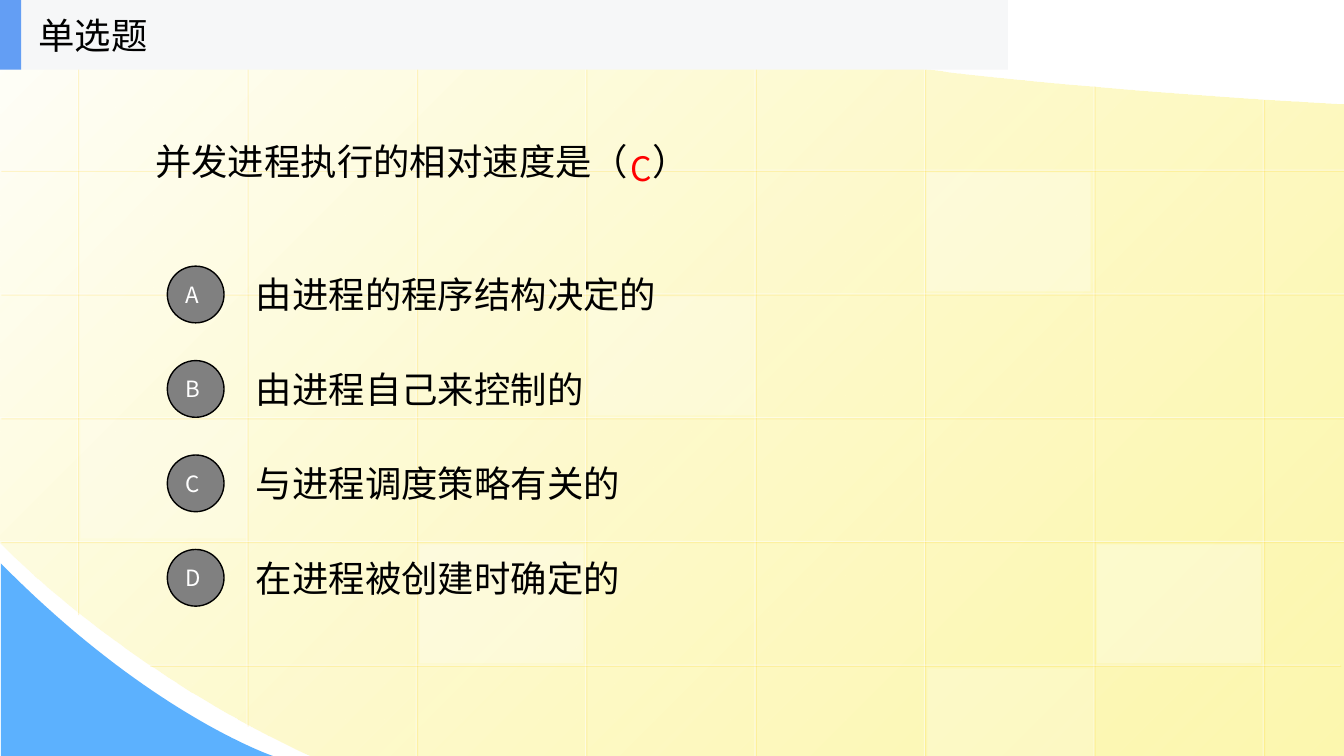
from lxml.etree import SubElement
from pptx import Presentation
from pptx.dml.color import RGBColor
from pptx.enum.shapes import MSO_CONNECTOR as Connector, MSO_SHAPE as Shape
from pptx.enum.text import MSO_ANCHOR as Anchor, PP_ALIGN as Align
from pptx.oxml.ns import qn
from pptx.util import Pt

FONT = "Noto Sans CJK SC"
BLACK = RGBColor(0, 0, 0)
WHITE = RGBColor(255, 255, 255)
RED = RGBColor(255, 0, 0)
GRAY = RGBColor(0x80, 0x80, 0x80)
SKY = RGBColor(0x5C, 0xB1, 0xFE)
CREAM = RGBColor(0xFF, 0xFF, 0xFB)
YELLOW = RGBColor(0xFD, 0xF5, 0x8D)
HEADER = RGBColor(0xF6, 0xF7, 0xF8)
ACCENT = RGBColor(0x63, 0x9E, 0xF4)

QUESTION = "并发进程执行的相对速度是（\t）"
OPTIONS = {
    "A": "由进程的程序结构决定的",
    "B": "由进程自己来控制的",
    "C": "与进程调度策略有关的",
    "D": "在进程被创建时确定的",
}
OPTION_STEP = 67.45
GRID_LEFT, GRID_STEP_X = 55.3, 121
GRID_TOP, GRID_STEP_Y = 33.1, 88.4
COLUMN_SPANS = [(0, 438.5), (0, 518), (0, 540), (0, 540),
                (31, 540), (49, 540), (61, 540), (70.5, 540)]
ROW_SPANS = [(0, 545), (0, 960), (0, 960), (0, 960), (0, 960), (106.5, 957)]
TILES = [
    (420.5, 211.7, 118.8, 85, 25),
    (783.4, 388.8, 117.4, 85, 30),
    (57.6, 299.5, 118.8, 85, 20),
    (662.4, 477.4, 118.8, 62.6, 20),
    (298.8, 0, 118.8, 31.7, 40),
    (299.5, 388.8, 117.4, 85, 30),
    (661.7, 123.1, 117.4, 85, 30),
]


def set_opacity(element, percent):
    for color in element.iter(qn("a:srgbClr")):
        SubElement(color, qn("a:alpha"), val=str(percent * 1000))


def curve(start, first, second, end, steps=40):
    points = []
    for step in range(steps + 1):
        t = step / steps
        weights = ((1 - t) ** 3, 3 * t * (1 - t) ** 2, 3 * t * t * (1 - t), t ** 3)
        points.append(tuple(
            sum(weight * value for weight, value in zip(weights, values))
            for values in zip(start, first, second, end)))
    return points


def add_outline(page, points):
    corners = [(Pt(x), Pt(y)) for x, y in points]
    builder = page.shapes.build_freeform(*corners[0])
    builder.add_line_segments(corners[1:], close=True)
    outline = builder.convert_to_shape()
    outline.shadow.inherit = False
    outline.line.fill.background()
    return outline


def add_backdrop(page):
    edge = [(960, 540)]
    edge += curve((221, 540), (82.8, 475.9), (0, 388.1), (0, 388.1))
    edge += [(0, 0)]
    edge += curve((404, 0.7), (404, 0.7), (515, 49.7), (960, 75))
    fill = add_outline(page, edge).fill
    fill.gradient()
    fill.gradient_angle = 315
    first, last = fill.gradient_stops
    first.color.rgb = CREAM
    last.color.rgb = YELLOW
    set_opacity(last._gs, 70)

    corner = add_outline(page, [(0.7, 540)] + curve(
        (195, 540), (195, 540), (107.3, 510.5), (0.7, 402.5)))
    corner.fill.solid()
    corner.fill.fore_color.rgb = SKY


def add_grid_line(page, *ends):
    line = page.shapes.add_connector(Connector.STRAIGHT, *map(Pt, ends))
    line.line.width = Pt(0.75)
    line.line.color.rgb = WHITE
    properties = line._element.spPr
    set_opacity(properties, 50)
    effects = SubElement(properties, qn("a:effectLst"))
    shadow = SubElement(effects, qn("a:outerShdw"), blurRad="0",
                        dist=str(Pt(1.4)), dir="2700000", algn="ctr", rotWithShape="0")
    SubElement(shadow, qn("a:srgbClr"), val="FFCC00")
    set_opacity(effects, 34)


def add_grid(page):
    for index, (top, bottom) in enumerate(COLUMN_SPANS):
        x = GRID_LEFT + index * GRID_STEP_X
        add_grid_line(page, x, top, x, bottom)
    for index, (left, right) in enumerate(ROW_SPANS):
        y = GRID_TOP + index * GRID_STEP_Y
        add_grid_line(page, right, y, left, y)


def add_filled(page, kind, place, color, opacity=None, outlined=False):
    shape = page.shapes.add_shape(kind, *map(Pt, place))
    shape.shadow.inherit = False
    shape.fill.solid()
    shape.fill.fore_color.rgb = color
    if opacity:
        set_opacity(shape._element.spPr, opacity)
    if outlined:
        shape.line.color.rgb = BLACK
        shape.line.width = Pt(1)
    else:
        shape.line.fill.background()
    return shape


def write(shape, text, size=26, color=BLACK, anchor=Anchor.MIDDLE, wrap=True, tab=None):
    frame = shape.text_frame
    frame.word_wrap = wrap
    frame.vertical_anchor = anchor
    para = frame.paragraphs[0]
    para.alignment = Align.LEFT
    if tab:
        stops = SubElement(para._p.get_or_add_pPr(), qn("a:tabLst"))
        SubElement(stops, qn("a:tab"), pos=str(Pt(tab)), algn="l")
    span = para.add_run()
    span.text = text
    span.font.size = Pt(size)
    span.font.color.rgb = color
    span.font.name = FONT
    SubElement(span._r.get_or_add_rPr(), qn("a:ea"), typeface=FONT)


def add_label(page, place, text, **style):
    box = page.shapes.add_textbox(*map(Pt, place))
    write(box, text, **style)


def add_option(page, index, letter, text):
    shift = index * OPTION_STEP
    add_label(page, (175.7, 185 + shift, 504, 50.4), text)
    badge = add_filled(page, Shape.OVAL, (119.5, 190.1 + shift, 40.5, 40.5),
                       GRAY, outlined=True)
    write(badge, letter, size=16, color=WHITE)


def main():
    deck = Presentation()
    deck.slide_width, deck.slide_height = Pt(960), Pt(540)
    page = deck.slides.add_slide(deck.slide_layouts[6])
    add_backdrop(page)
    add_grid(page)
    for *place, opacity in TILES:
        add_filled(page, Shape.RECTANGLE, place, WHITE, opacity)
    add_label(page, (103.7, 56.9, 576, 116.6), QUESTION, tab=355.5)
    for index, (letter, text) in enumerate(OPTIONS.items()):
        add_option(page, index, letter, text)
    add_filled(page, Shape.RECTANGLE, (0, 0, 720, 49.7), HEADER)
    add_filled(page, Shape.RECTANGLE, (0, 0, 15.1, 49.7), ACCENT)
    add_label(page, (20.2, 0, 149.8, 49.7), "单选题", wrap=False)
    add_label(page, (443.2, 102.2, 47.9, 36), "C", size=24, color=RED, anchor=Anchor.TOP)
    deck.save("out.pptx")


if __name__ == "__main__":
    main()
